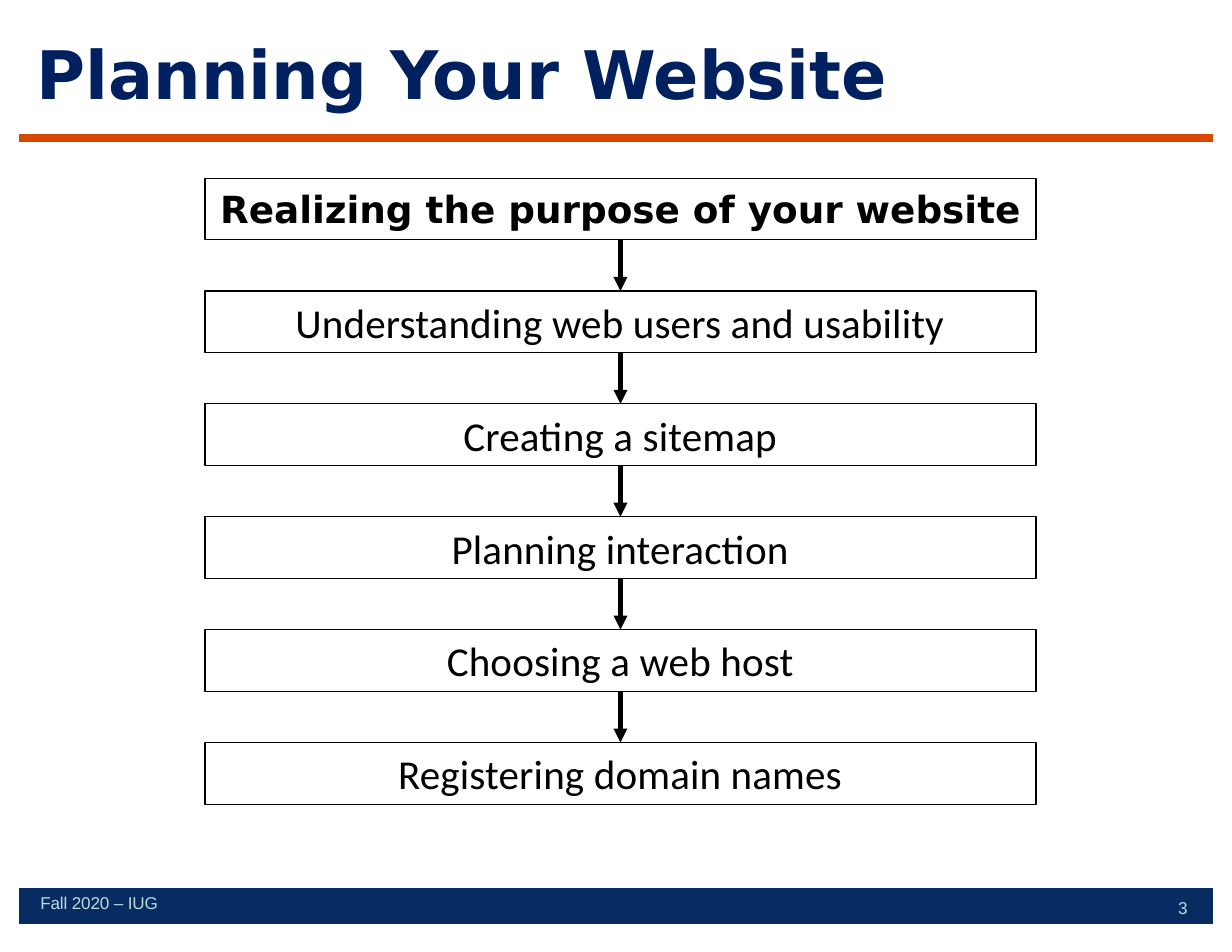
import pptx
import pptx.dml.color
import pptx.enum.shapes
import pptx.enum.text
import pptx.oxml
import pptx.oxml.ns
import pptx.util

Inches = pptx.util.Inches
Points = pptx.util.Pt
RGBColor = pptx.dml.color.RGBColor
Align = pptx.enum.text.PP_ALIGN
Anchor = pptx.enum.text.MSO_ANCHOR

BLACK = RGBColor(0x00, 0x00, 0x00)
NAVY = RGBColor(0x07, 0x2C, 0x62)
TITLE_BLUE = RGBColor(0x00, 0x20, 0x60)
ORANGE = RGBColor(0xD8, 0x48, 0x00)
PALE_BLUE = RGBColor(0xBD, 0xDA, 0xDF)

TITLE = "Planning Your Website"
STEPS = [
    "Realizing the purpose of your website",
    "Understanding web users and usability",
    "Creating a sitemap",
    "Planning interaction",
    "Choosing a web host",
    "Registering domain names",
]
FOOTER = "Fall 2020 – IUG"
PAGE_NUMBER = "3"

TITLE_FONT = dict(name="DejaVu Sans", size=Points(43), bold=True)
CURRENT_FONT = dict(name="DejaVu Sans", size=Points(24), bold=True)
STEP_FONT = dict(name="Calibri", size=Points(26.4), bold=False)
FOOTER_FONT = dict(name="Arial", size=Points(11), bold=False)

SLIDE_WIDTH, SLIDE_HEIGHT = 11, 8.5
MARGIN = 0.17
BAND_WIDTH = SLIDE_WIDTH - 2 * MARGIN
STEP_LEFT, STEP_WIDTH, STEP_HEIGHT = 1.83, 7.42, 0.55
FIRST_TOP, LAST_TOP = 1.59, 6.63
STEP_PITCH = (LAST_TOP - FIRST_TOP) / (len(STEPS) - 1)


def write_text(shape, text, font, color, insets=(0, 0, 0, 0), anchor=Anchor.TOP,
               wrap=True, letter_spacing=0, **paragraph_format):
    frame = shape.text_frame
    frame.word_wrap = wrap
    frame.vertical_anchor = anchor
    for side, inset in zip(("left", "top", "right", "bottom"), insets):
        setattr(frame, f"margin_{side}", Inches(inset))
    paragraph = frame.paragraphs[0]
    for name, value in paragraph_format.items():
        setattr(paragraph, name, value)
    run = paragraph.add_run()
    run.text = text
    for name, value in font.items():
        setattr(run.font, name, value)
    run.font.color.rgb = color
    if letter_spacing:
        run._r.get_or_add_rPr().set("spc", str(letter_spacing))


def add_text(slide, box, text, font, color, **text_format):
    shape = slide.shapes.add_textbox(*map(Inches, box))
    write_text(shape, text, font, color, **text_format)


def add_rectangle(slide, box):
    shape = slide.shapes.add_shape(
        pptx.enum.shapes.MSO_SHAPE.RECTANGLE, *map(Inches, box))
    shape.shadow.inherit = False
    return shape


def add_line(slide, start, end, color, width, arrow=False):
    line = slide.shapes.add_connector(
        pptx.enum.shapes.MSO_CONNECTOR.STRAIGHT, *map(Inches, (*start, *end)))
    line.line.color.rgb = color
    line.line.width = Points(width)
    if arrow:
        head = pptx.oxml.parse_xml(
            f'<a:tailEnd {pptx.oxml.ns.nsdecls("a")} type="triangle"/>')
        line.line._get_or_add_ln().append(head)
    line._element.spPr.append(
        pptx.oxml.parse_xml(f'<a:effectLst {pptx.oxml.ns.nsdecls("a")}/>'))
    return line


def add_step(slide, index, text):
    top = FIRST_TOP + index * STEP_PITCH
    shape = add_rectangle(slide, (STEP_LEFT, top, STEP_WIDTH, STEP_HEIGHT))
    shape.fill.background()
    shape.line.color.rgb = BLACK
    shape.line.width = Points(0.75)
    current = index == 0
    write_text(shape, text, CURRENT_FONT if current else STEP_FONT, BLACK,
               insets=(0, 0, 0, 0) if current else (0.11, 0.06, 0.11, 0.06),
               anchor=Anchor.MIDDLE, letter_spacing=0 if current else 10,
               alignment=Align.CENTER)
    return shape


def main():
    presentation = pptx.Presentation()
    presentation.slide_width = Inches(SLIDE_WIDTH)
    presentation.slide_height = Inches(SLIDE_HEIGHT)
    slide = presentation.slides.add_slide(presentation.slide_layouts[6])

    footer_band = add_rectangle(slide, (MARGIN, 7.93, BAND_WIDTH, 0.32))
    footer_band.fill.solid()
    footer_band.fill.fore_color.rgb = NAVY
    footer_band.line.fill.background()
    add_line(slide, (MARGIN, 1.23), (MARGIN + BAND_WIDTH, 1.23), ORANGE, 5)
    add_text(slide, (0.33, 0.25, 10.34, 1.45), TITLE, TITLE_FONT, TITLE_BLUE,
             insets=(0, 0.04, 0, 0))

    steps = [add_step(slide, index, text) for index, text in enumerate(STEPS)]
    for upper, lower in zip(steps, steps[1:]):
        arrow = add_line(slide, (0, 0), (0, 0), BLACK, 3, arrow=True)
        arrow.begin_connect(upper, 2)
        arrow.end_connect(lower, 0)

    add_text(slide, (0.35, 7.97, 2.34, 0.2), FOOTER, FOOTER_FONT, PALE_BLUE,
             insets=(0.01, 0, 0, 0), letter_spacing=-10,
             line_spacing=Points(13.2))
    add_text(slide, (10.49, 8.01, 0.14, 0.2), PAGE_NUMBER, FOOTER_FONT, PALE_BLUE,
             insets=(0.03, 0, 0, 0), line_spacing=Points(13.2))
    presentation.save("out.pptx")


if __name__ == "__main__":
    main()
